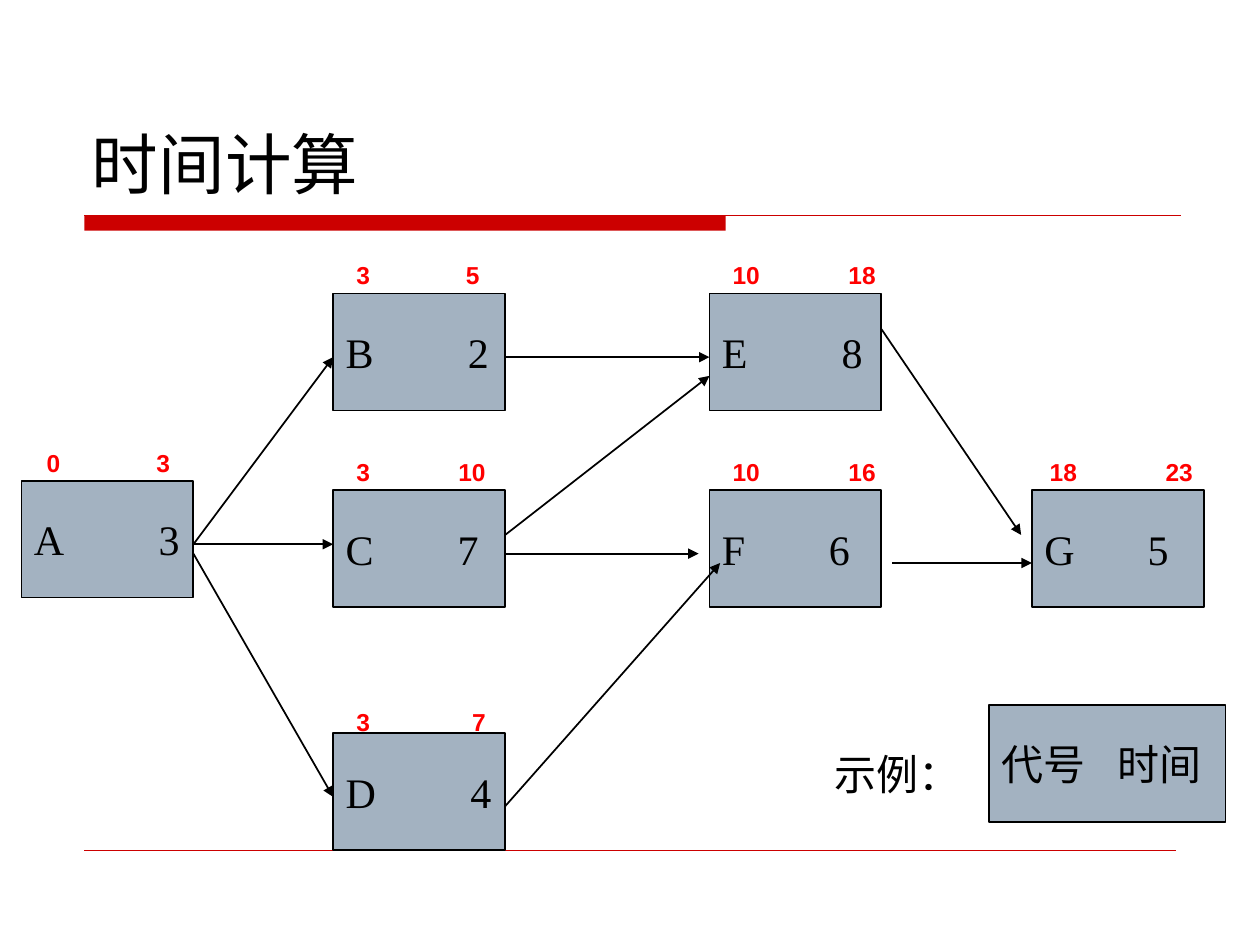
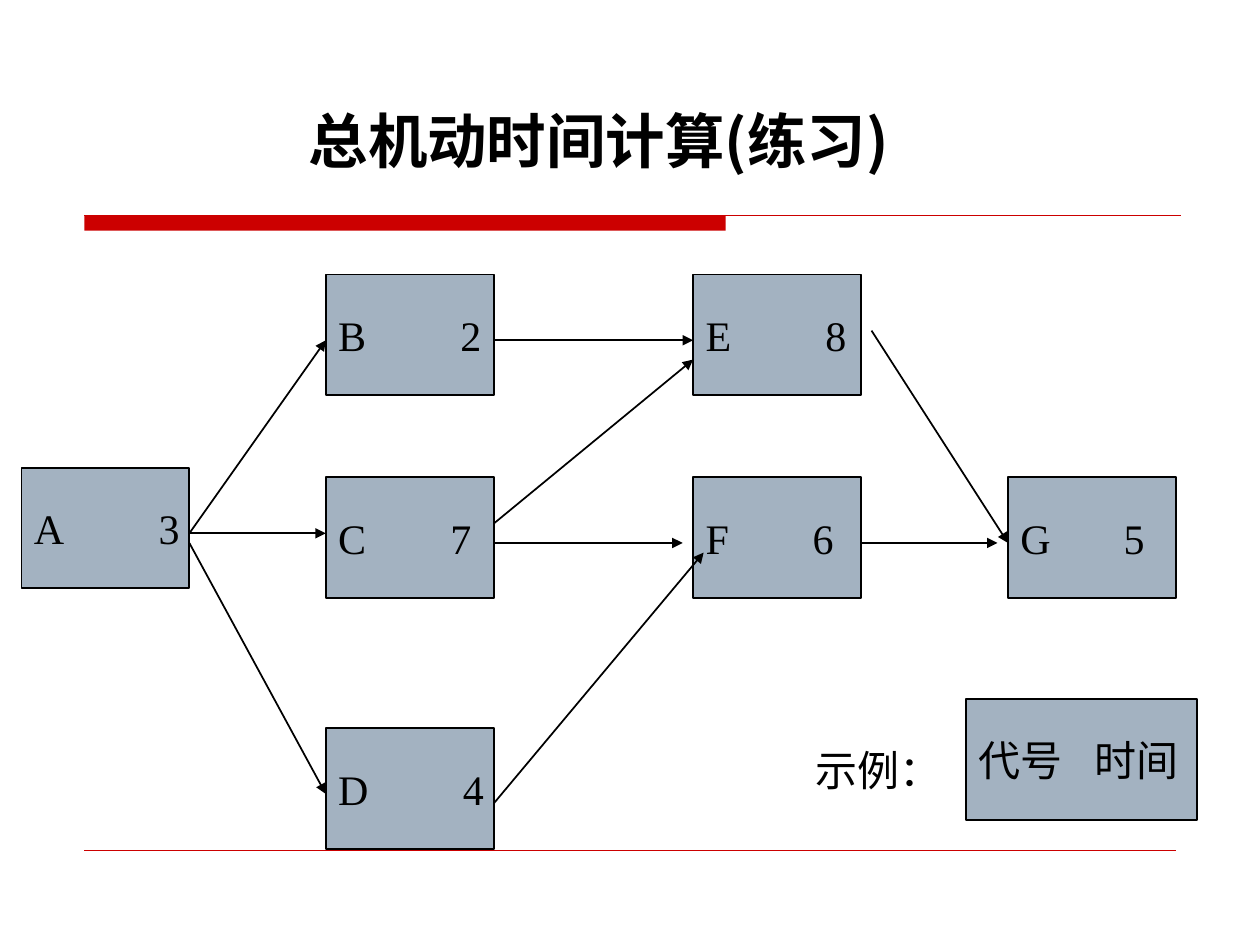
from dataclasses import dataclass

from lxml import etree
from pptx import Presentation
from pptx.dml.color import RGBColor
from pptx.enum.shapes import MSO_CONNECTOR, MSO_SHAPE
from pptx.enum.text import MSO_ANCHOR, MSO_AUTO_SIZE, PP_ALIGN
from pptx.oxml.ns import qn
from pptx.util import Inches, Pt

RECTANGLE, STRAIGHT = MSO_SHAPE.RECTANGLE, MSO_CONNECTOR.STRAIGHT
TOP, MIDDLE, BOTTOM = MSO_ANCHOR.TOP, MSO_ANCHOR.MIDDLE, MSO_ANCHOR.BOTTOM
LEFT, FIXED = PP_ALIGN.LEFT, MSO_AUTO_SIZE.NONE


@dataclass(frozen=True)
class Theme:
    ink: str = "000000"
    accent: str = "CC0000"
    task: str = "A3B2C1"
    date: str = "FF0000"
    serif: str = "Times New Roman"
    sans: str = "Arial"
    heading: str = "DejaVu Sans"
    chinese: str = "Noto Sans CJK SC"
    task_size: int = 24
    date_size: int = 14


THEME = Theme()
SLIDE_SIZE = (10, 7.5)

TASK_COLS, TASK_ROWS = 16, 12.5
LAST_COL, LAST_ROW = 94, 47
TASKS = {
    "A": ("3", 0, 20, 0.99),
    "E": ("8", 64, 0, 0.95),
    "C": ("7", 29, 21, 0.89),
    "F": ("6", 64, 21, 0.85),
    "D": ("4", 29, 47, 0.99),
    "B": ("2", 29, 0, 0.97),
    "G": ("5", 94, 21, 0.82),
}
LINKS = [
    (16, 26.8, 29, 26.8),
    (45, 6.8, 64, 6.8),
    (45, 27.8, 63, 27.8),
    (16, 26.8, 29, 6.8),
    (16, 27.8, 29, 53.8),
    (45, 54.8, 65, 28.8),
    (45, 25.8, 64, 8.8),
]
DATES = {
    "A": ("0", "3", 1.2, 4.2, 0.87),
    "B": ("3", "5", 1, 4.2, 0.87),
    "C": ("3", "10", 1, 4.2, 0.81),
    "E": ("10", "18", 1, 4.2, 0.92),
    "D": ("3", "7", 1, 3.5, 0.92),
    "F": ("10", "16", 1, 4.2, 0.92),
    "G": ("18", "23", 0.5, 4.2, 0.92),
}
LEGEND = ("代号", "时间", 90, 44, 22, 0.92)
LEGEND_LABEL = ("示例：", 74.5, 48)

SLIDES = [
    {
        "title": "时间计算",
        "title_box": (0.63, 0.33, 8.75, 1.33),
        "title_format": {"size": 38, "font": THEME.heading},
        "origin": (0.17, 2.33),
        "span": (8.02, 3.49),
        "links_to_g": [(81, 28.8, 94, 28.8), (80, 3.8, 93, 25.8)],
        "dates": DATES,
    },
    {
        "title": "总机动时间计算(练习)",
        "title_box": (2.35, 0.6, 6.55, 0.84),
        "title_format": {"size": 34, "font": THEME.chinese, "bold": True},
        "origin": (0.17, 2.18),
        "span": (7.83, 3.6),
        "links_to_g": [(80, 27.8, 93, 27.8), (81, 5.8, 94, 27.8)],
        "dates": {},
    },
]


def rgb(color):
    return RGBColor.from_string(color)


def write(shape, text, size=THEME.task_size, font=THEME.serif, color=THEME.ink,
          bold=False, anchor=MIDDLE, tab=None):
    frame = shape.text_frame
    frame.word_wrap = True
    frame.auto_size = FIXED
    frame.vertical_anchor = anchor
    frame.margin_left, frame.margin_right = Inches(0.1), 0
    frame.margin_top = frame.margin_bottom = Inches(0.05)
    paragraph = frame.paragraphs[0]
    paragraph.alignment = LEFT
    if tab:
        stops = etree.SubElement(paragraph._p.get_or_add_pPr(), qn("a:tabLst"))
        etree.SubElement(stops, qn("a:tab"), pos=str(Inches(tab)), algn="l")
    run = paragraph.add_run()
    run.text = text
    run.font.size, run.font.bold, run.font.name = Pt(size), bold, font
    run.font.color.rgb = rgb(color)
    latin = run._r.get_or_add_rPr().find(qn("a:latin"))
    latin.addnext(latin.makeelement(qn("a:ea"), {"typeface": THEME.chinese}))


def add_box(slide, box, fill, outlined=True):
    shape = slide.shapes.add_shape(RECTANGLE, *map(Inches, box))
    shape.shadow.inherit = False
    shape.fill.solid()
    shape.fill.fore_color.rgb = rgb(fill)
    if outlined:
        shape.line.color.rgb = rgb(THEME.ink)
        shape.line.width = Pt(1)
    else:
        shape.line.fill.background()
    return shape


def add_line(slide, ends, color, width, arrow=False):
    link = slide.shapes.add_connector(STRAIGHT, *map(Inches, ends))
    link.line.color.rgb = rgb(color)
    link.line.width = Pt(width)
    if arrow:
        etree.SubElement(link.line._get_or_add_ln(), qn("a:tailEnd"), type="triangle")
    etree.SubElement(link._element.spPr, qn("a:effectLst"))


def add_label(slide, box, text, **style):
    write(slide.shapes.add_textbox(*map(Inches, box)), text, anchor=TOP, **style)


def add_frame(slide, title, box, style):
    add_box(slide, (0.67, 1.71, 5.09, 0.12), THEME.accent, outlined=False)
    add_line(slide, (0.67, 1.71, 9.37, 1.71), THEME.accent, 0.75)
    add_line(slide, (0.67, 6.75, 9.33, 6.75), THEME.accent, 0.25)
    heading = slide.shapes.title
    heading.left, heading.top, heading.width, heading.height = map(Inches, box)
    write(heading, title, anchor=BOTTOM, **style)


def add_network(slide, origin, span, links_to_g, dates):
    col, row = span[0] / LAST_COL, span[1] / LAST_ROW

    def at(x, y):
        return origin[0] + x * col, origin[1] + y * row

    def add_task(code, duration, x, y, cols, tab):
        box = (*at(x, y), cols * col, TASK_ROWS * row)
        write(add_box(slide, box, THEME.task), f"{code}\t{duration}", tab=tab)

    for code, (duration, x, y, tab) in TASKS.items():
        add_task(code, duration, x, y, TASK_COLS, tab)
    for x1, y1, x2, y2 in LINKS + links_to_g:
        add_line(slide, (*at(x1, y1), *at(x2, y2)), THEME.ink, 1, arrow=True)
    add_task(*LEGEND)
    label, x, y = LEGEND_LABEL
    add_label(slide, (*at(x, y), 1.2, 0.5), label)
    for code, (start, finish, right, up, tab) in dates.items():
        x, y = TASKS[code][1:3]
        add_label(slide, (*at(x + right, y - up), 1.34, 0.34), f"{start}\t{finish}",
                  size=THEME.date_size, font=THEME.sans, color=THEME.date,
                  bold=True, tab=tab)


def main():
    deck = Presentation()
    deck.slide_width, deck.slide_height = map(Inches, SLIDE_SIZE)
    title_only = deck.slide_layouts[5]
    for content in SLIDES:
        slide = deck.slides.add_slide(title_only)
        add_frame(slide, content["title"], content["title_box"], content["title_format"])
        add_network(slide, content["origin"], content["span"],
                    content["links_to_g"], content["dates"])
    deck.save("out.pptx")


if __name__ == "__main__":
    main()
